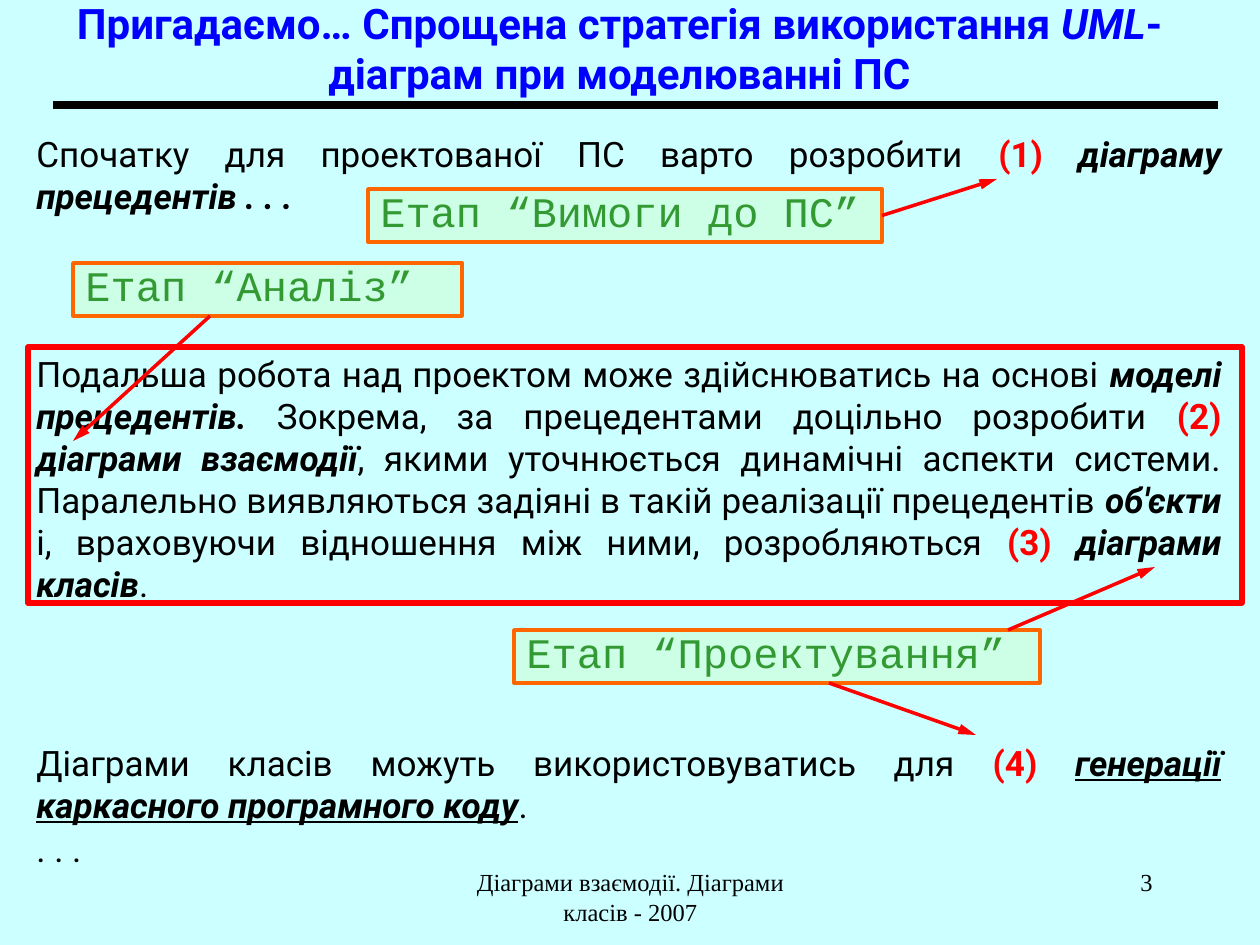
from lxml.etree import SubElement
from pptx import Presentation
from pptx.dml.color import RGBColor
from pptx.enum.shapes import MSO_CONNECTOR, MSO_SHAPE
from pptx.enum.text import MSO_ANCHOR, MSO_AUTO_SIZE, PP_ALIGN
from pptx.oxml.ns import qn
from pptx.util import Pt

PX = 914400 / 126
COLORS = {"background": "CCFFFF", "title": "0000FF", "text": "000000",
          "accent": "FF0000", "stage_fill": "CCFFCC",
          "stage_line": "FF6600", "stage_text": "339933"}

# Formats of text runs
TITLE = {"name": "Roboto", "size": Pt(24), "bold": True, "color": "title"}
TITLE_TERM = {**TITLE, "italic": True}
PLAIN = {"name": "Roboto", "size": Pt(20), "bold": False, "color": "text"}
TERM = {**PLAIN, "bold": True, "italic": True}
RESULT = {**TERM, "underline": True}
NUMBER = {**PLAIN, "bold": True, "color": "accent"}
STAGE = {"name": "Courier New", "size": Pt(24), "color": "stage_text"}
FOOTER = {"name": "Times New Roman", "size": Pt(14), "color": "text"}

# Paragraph formats; a wide gap leaves room for the stage labels
CLOSE = {"alignment": PP_ALIGN.JUSTIFY, "space_before": Pt(5), "space_after": Pt(5)}
WIDE = {**CLOSE, "space_before": Pt(73)}
TIGHT = {**CLOSE, "line_spacing": 0.6}

STRATEGY = [
    (CLOSE, [("Спочатку для проектованої ПС варто розробити ", PLAIN),
             ("(1) ", NUMBER),
             ("діаграму прецедентів . . .", TERM)]),
    (WIDE, [("Подальша робота над проектом може здійснюватись на основі ", PLAIN),
            ("моделі прецедентів.", TERM),
            (" Зокрема, за прецедентами доцільно розробити ", PLAIN),
            ("(2) ", NUMBER),
            ("діаграми взаємодії", TERM),
            (", якими уточнюється динамічні аспекти системи. Паралельно "
             "виявляються задіяні в такій реалізації прецедентів ", PLAIN),
            ("об'єкти ", TERM),
            ("і, враховуючи відношення між ними, розробляються ", PLAIN),
            ("(3) ", NUMBER),
            ("діаграми класів", TERM),
            (".", PLAIN)]),
    (WIDE, [("Діаграми класів можуть використовуватись для ", PLAIN),
            ("(4) ", NUMBER),
            ("генерації каркасного програмного коду", RESULT),
            (".", PLAIN)]),
    (TIGHT, [(". . .", PLAIN)]),
]


def px(*lengths):
    return [round(length * PX) for length in lengths]


def rgb(color):
    return RGBColor.from_string(COLORS[color])


def set_values(target, values):
    for attribute, value in values.items():
        setattr(target, attribute, value)


def write(frame, paragraphs, anchor=MSO_ANCHOR.TOP):
    set_values(frame, {"word_wrap": True, "auto_size": MSO_AUTO_SIZE.NONE,
                       "vertical_anchor": anchor})
    for index, (layout, runs) in enumerate(paragraphs):
        paragraph = frame.add_paragraph() if index else frame.paragraphs[0]
        set_values(paragraph, layout)
        for words, style in runs:
            run = paragraph.add_run()
            run.text = words
            set_values(run.font, {k: v for k, v in style.items() if k != "color"})
            run.font.color.rgb = rgb(style["color"])


def add_text(slide, box, paragraphs):
    write(slide.shapes.add_textbox(*px(*box)).text_frame, paragraphs)


def add_box(slide, box, line, width):
    rectangle = slide.shapes.add_shape(MSO_SHAPE.RECTANGLE, *px(*box))
    rectangle.shadow.inherit = False
    rectangle.fill.background()
    rectangle.line.color.rgb = rgb(line)
    rectangle.line.width = Pt(width)
    return rectangle


def add_line(slide, start, end, color, width):
    line = slide.shapes.add_connector(MSO_CONNECTOR.STRAIGHT, *px(*start, *end))
    line.line.color.rgb = rgb(color)
    line.line.width = Pt(width)
    SubElement(line._element.spPr, qn("a:effectLst"))
    return line


def add_arrow(slide, start, end):
    arrow = add_line(slide, start, end, "accent", 2)
    SubElement(arrow.line._get_or_add_ln(), qn("a:tailEnd"),
               {"type": "triangle", "w": "med", "len": "lg"})
    return arrow


def add_stage(slide, box, name):
    stage = add_box(slide, box, "stage_line", 2)
    stage.fill.solid()
    stage.fill.fore_color.rgb = rgb("stage_fill")
    tint = stage._element.spPr.find(qn("a:solidFill"))[0]
    SubElement(tint, qn("a:alpha"), {"val": "50000"})
    layout = {"alignment": PP_ALIGN.LEFT, "line_spacing": 0.8}
    write(stage.text_frame, [(layout, [(f"Етап “{name}”", STAGE)])])
    return stage


def add_header(slide, left, top, width, height):
    title = slide.shapes.title
    set_values(title, dict(zip(("left", "top", "width", "height"),
                               px(left, top, width, height))))
    write(title.text_frame, [({"alignment": PP_ALIGN.CENTER}, [
        ("Пригадаємо… Спрощена стратегія використання ", TITLE),
        ("UML", TITLE_TERM),
        ("-діаграм при моделюванні ПС", TITLE)])], MSO_ANCHOR.MIDDLE)
    rule_y = top + height + 10
    add_line(slide, (left + 11, rule_y), (left + width + 21, rule_y), "text", 4.5)


def add_strategy(slide, left, top, width, height):
    add_text(slide, (left, top, width, height), STRATEGY)
    add_box(slide, (left + 4, top + 221, width + 4, 256), "accent", 3)


def add_stages(slide, left, top):
    def at(x, y):
        return left + x, top + y

    requirements = add_stage(slide, (*at(295, 0), 514, 53), "Вимоги до ПС")
    add_stage(slide, (*at(0, 74), 389, 53), "Аналіз")
    add_stage(slide, (*at(441, 441), 526, 53), "Проектування")

    # Arrows from each stage to the diagrams it yields
    add_arrow(slide, at(809, 27), at(924, -10)).begin_connect(requirements, 3)
    for start, end in [((137, 127), (0, 252)),
                       ((935, 441), (1082, 378)),
                       ((756, 494), (903, 546))]:
        add_arrow(slide, at(*start), at(*end))


def add_footer(slide, top, height):
    for left, width, alignment, words in [
            (431, 399, PP_ALIGN.CENTER, "Діаграми взаємодії. Діаграми класів - 2007"),
            (903, 262, PP_ALIGN.RIGHT, "3")]:
        add_text(slide, (left, top, width, height),
                 [({"alignment": alignment}, [(words, FOOTER)])])


def main():
    deck = Presentation()
    deck.slide_width, deck.slide_height = px(1260, 945)
    slide = deck.slides.add_slide(deck.slide_layouts[5])
    slide.background.fill.solid()
    slide.background.fill.fore_color.rgb = rgb("background")

    add_header(slide, 42, 0, 1155, 95)
    add_strategy(slide, 24, 126, 1210, 756)
    add_stages(slide, 73, 189)
    add_footer(slide, 861, 63)
    deck.save("out.pptx")


if __name__ == "__main__":
    main()
